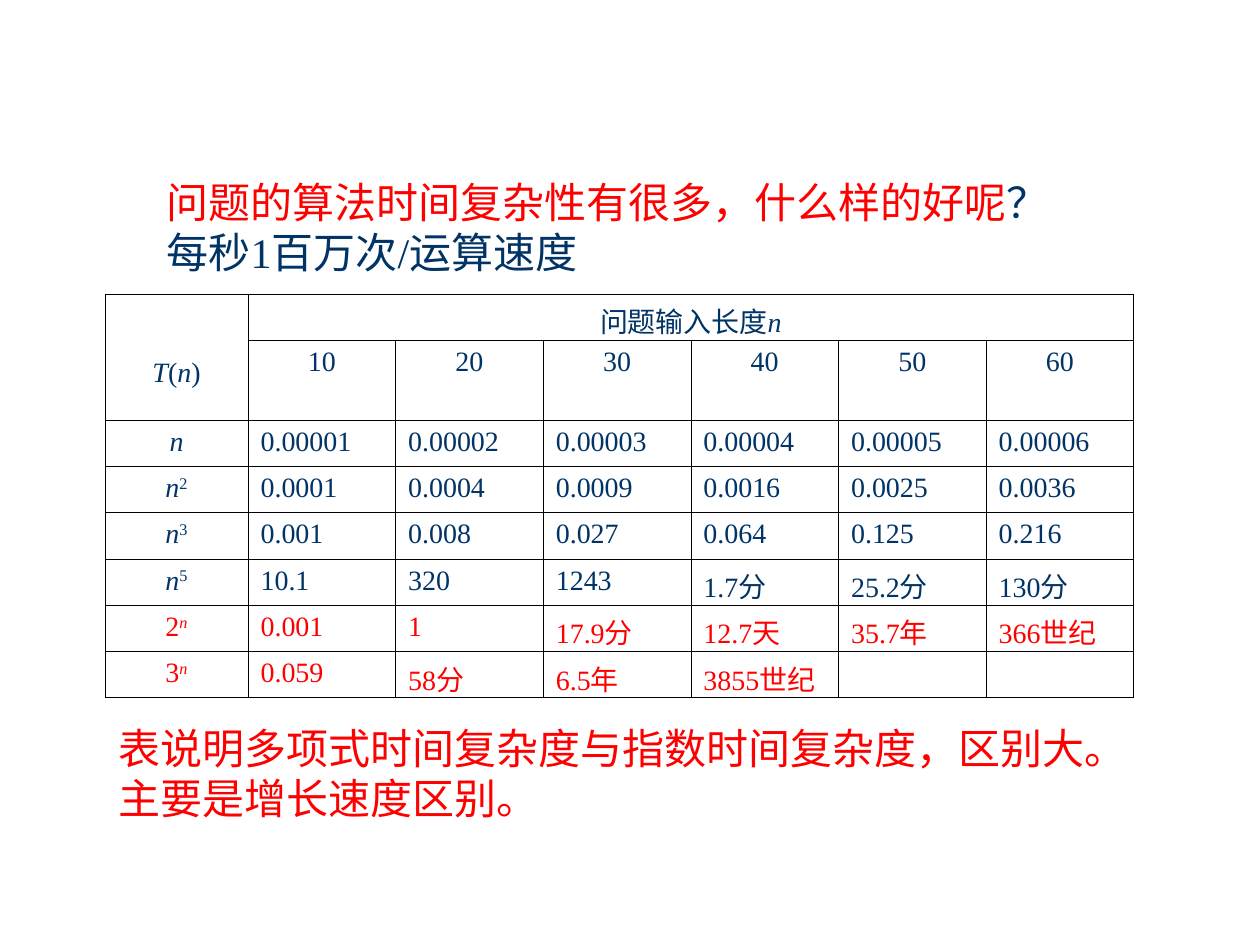
import pptx
import pptx.dml.color
import pptx.enum.text
import pptx.oxml.ns
import pptx.util
from lxml import etree

SCALE = 914400 / 126
FONT = "Times New Roman"
NAVY, RED, BLACK = "003366", "FF0000", "000000"
HEADING_SIZE, CELL_SIZE = 24, 16
ALIGN = pptx.enum.text.PP_ALIGN
MIDDLE = pptx.enum.text.MSO_ANCHOR.MIDDLE

LENGTHS = ["10", "20", "30", "40", "50", "60"]
# Base, exponent, running times, colour
GROWTH = [
    ("n", "", ["0.00001", "0.00002", "0.00003", "0.00004", "0.00005", "0.00006"], NAVY),
    ("n", "2", ["0.0001", "0.0004", "0.0009", "0.0016", "0.0025", "0.0036"], NAVY),
    ("n", "3", ["0.001", "0.008", "0.027", "0.064", "0.125", "0.216"], NAVY),
    ("n", "5", ["10.1", "320", "1243", "1.7分", "25.2分", "130分"], NAVY),
    ("2", "n", ["0.001", "1", "17.9分", "12.7天", "35.7年", "366世纪"], RED),
    ("3", "n", ["0.059", "58分", "6.5年", "3855世纪", "", ""], RED),
]


def px(length):
    return pptx.util.Emu(round(length * SCALE))


def rgb(value):
    return pptx.dml.color.RGBColor.from_string(value)


def add_run(paragraph, text, size, color, raised=False):
    run = paragraph.add_run()
    run.text = text
    run.font.name = FONT
    run.font.size = pptx.util.Pt(size)
    run.font.color.rgb = rgb(color)
    run.font.italic = text in ("n", "T")
    if raised:
        run.font._element.set("baseline", "30000")


def place_statement(shape, box, lines):
    """Each line is a list of (text, colour) pieces."""
    shape.left, shape.top, shape.width, shape.height = map(px, box)
    frame = shape.text_frame
    frame.word_wrap = False
    frame.auto_size = pptx.enum.text.MSO_AUTO_SIZE.SHAPE_TO_FIT_TEXT
    frame.vertical_anchor = MIDDLE
    for index, pieces in enumerate(lines):
        paragraph = frame.add_paragraph() if index else frame.paragraphs[0]
        paragraph.alignment = ALIGN.LEFT
        for text, color in pieces:
            add_run(paragraph, text, HEADING_SIZE, color)


def style_cell(cell):
    properties = cell._tc.get_or_add_tcPr()
    for side in ("lnL", "lnR", "lnT", "lnB"):
        line = etree.SubElement(properties, pptx.oxml.ns.qn(f"a:{side}"), w="5715")
        solid = etree.SubElement(line, pptx.oxml.ns.qn("a:solidFill"))
        etree.SubElement(solid, pptx.oxml.ns.qn("a:srgbClr"), val=BLACK)
    cell.fill.background()
    # Size of the line in cells without text
    etree.SubElement(cell.text_frame.paragraphs[0]._p,
                     pptx.oxml.ns.qn("a:endParaRPr"), sz=str(CELL_SIZE * 100))


def fill_cell(cell, pieces, color=NAVY, alignment=ALIGN.CENTER, exponent=""):
    paragraph = cell.text_frame.paragraphs[0]
    paragraph.alignment = alignment
    for text in filter(None, pieces):
        add_run(paragraph, text, CELL_SIZE, color)
    if exponent:
        add_run(paragraph, exponent, CELL_SIZE, color, raised=True)


def place_growth_table(slide, box):
    left, top, width, height = box
    label_width, row_height, lengths_height = 143, 46, 80
    table = slide.shapes.add_table(len(GROWTH) + 2, len(LENGTHS) + 1,
                                   *map(px, box)).table
    table.first_row = table.horz_banding = False
    for index, column in enumerate(table.columns):
        column.width = px((width - label_width) / len(LENGTHS) if index else label_width)
    for index, row in enumerate(table.rows):
        row.height = px(lengths_height if index == 1 else row_height)
    for cell in table.iter_cells():
        style_cell(cell)

    # Header
    corner = table.cell(0, 0)
    corner.merge(table.cell(1, 0))
    corner.vertical_anchor = MIDDLE
    corner.margin_top = px(38)
    fill_cell(corner, ["T", "(", "n", ")"])
    table.cell(0, 1).merge(table.cell(0, len(LENGTHS)))
    fill_cell(table.cell(0, 1), ["问题输入长度", "n"])
    for column, length in enumerate(LENGTHS, 1):
        fill_cell(table.cell(1, column), [length])

    # Running times
    for row, (base, exponent, times, color) in enumerate(GROWTH, 2):
        fill_cell(table.cell(row, 0), [base], color, exponent=exponent)
        for column, time in enumerate(times, 1):
            fill_cell(table.cell(row, column), [time], color, ALIGN.LEFT)


def main():
    deck = pptx.Presentation()
    deck.slide_width, deck.slide_height = px(1260), px(945)
    slide = deck.slides.add_slide(deck.slide_layouts[5])

    # Question
    place_statement(slide.shapes.title, (154, 170, 907, 113), [
        [("问题的算法时间复杂性有很多，什么样的好呢", RED), ("？", NAVY)],
        [("每秒1百万次/运算速度", NAVY)],
    ])
    place_growth_table(slide, (105, 294, 1029, 402))

    # Conclusion
    conclusion = slide.shapes.add_textbox(0, 0, 0, 0)
    place_statement(conclusion, (106, 716, 1033, 113), [
        [("表说明多项式时间复杂度与指数时间复杂度，区别大。", RED)],
        [("主要是增长速度区别。", RED)],
    ])
    deck.save("out.pptx")


if __name__ == "__main__":
    main()
